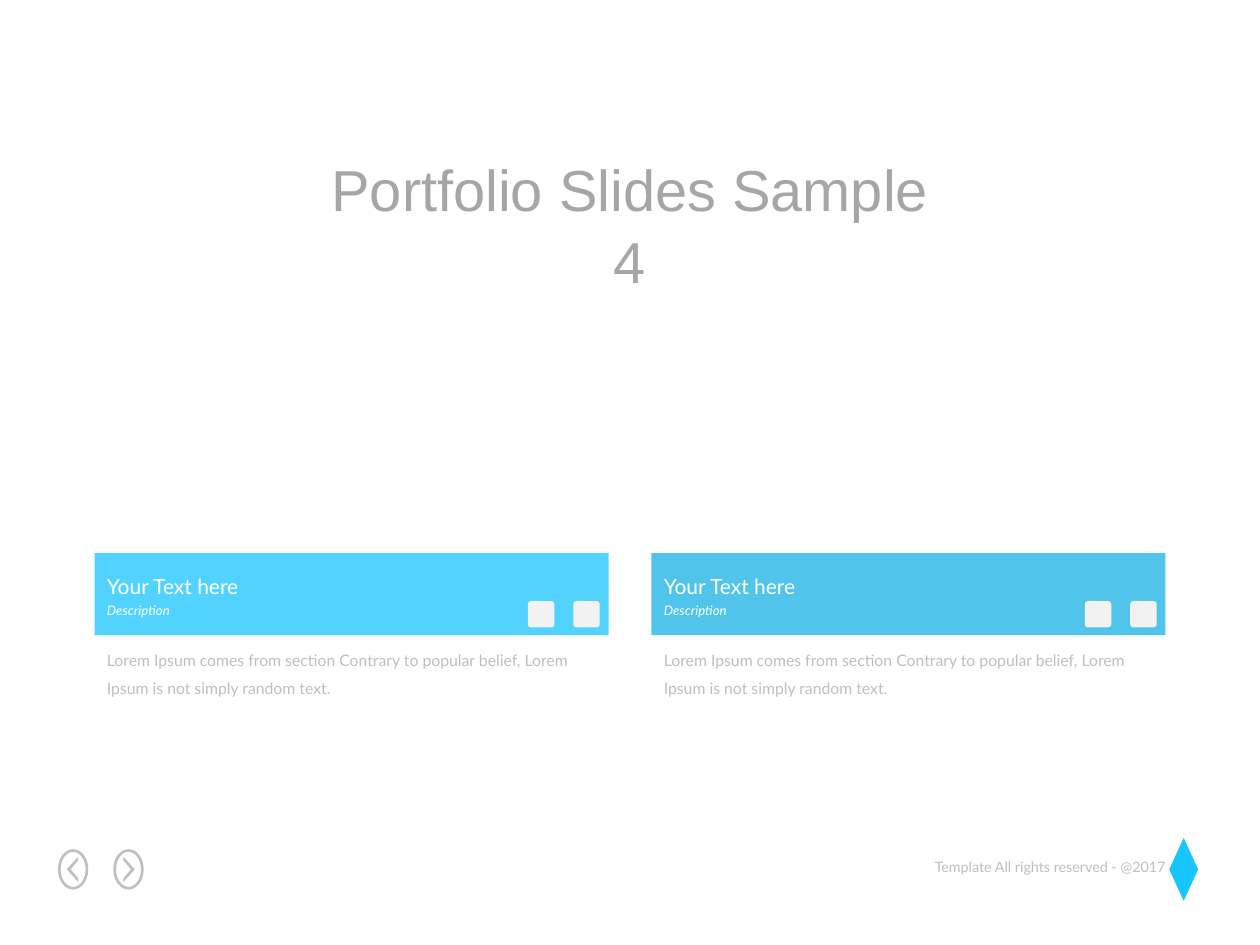
from dataclasses import dataclass

from lxml.etree import SubElement
from pptx import Presentation
from pptx.dml.color import RGBColor
from pptx.enum.shapes import MSO_SHAPE as Shape
from pptx.enum.text import MSO_ANCHOR as Anchor, PP_ALIGN as Align
from pptx.oxml.ns import qn
from pptx.util import Inches, Pt


@dataclass(frozen=True)
class Theme:
    title_color: str = "A6A6A6"
    muted: str = "BFBFBF"
    white: str = "FFFFFF"
    icon: str = "F2F2F2"
    accent: str = "19C5FF"
    accent_dark: str = "16B1E5"
    title_font: str = "Arial"
    body_font: str = "Lato"
    title_size: float = 33
    heading_size: float = 12
    body_size: float = 9
    footer_size: float = 8.2
    caption_size: float = 7.5


THEME = Theme()
CARD_W, BAR_Y, BAR_H = 4.08, 4.39, 0.65


def place(sp, x, y, w, h):
    sp.left, sp.top, sp.width, sp.height = (Inches(v) for v in (x, y, w, h))


def write(sp, text, size, color, font=THEME.body_font, align=Align.LEFT,
          wrap=False, spacing=None, italic=None):
    tf = sp.text_frame
    tf.word_wrap = wrap
    tf.vertical_anchor = Anchor.TOP
    p = tf.paragraphs[0]
    p.alignment = align
    p.line_spacing = spacing
    r = p.add_run()
    r.text = text
    r.font.name = font
    r.font.size = Pt(size)
    r.font.italic = italic
    r.font.color.rgb = RGBColor.from_string(color)


def add_text(s, x, y, w, h, text, size, color, **style):
    sp = s.shapes.add_textbox(*(Inches(v) for v in (x, y, w, h)))
    write(sp, text, size, color, **style)


def paint(sp, color):
    sp.shadow.inherit = False
    sp.fill.solid()
    sp.fill.fore_color.rgb = RGBColor.from_string(color)
    sp.line.fill.background()


def add_block(s, kind, x, y, w, h, color, alpha=None):
    """Add a borderless preset shape; alpha is its opacity in percent."""
    sp = s.shapes.add_shape(kind, *(Inches(v) for v in (x, y, w, h)))
    paint(sp, color)
    if alpha is not None:
        rgb = sp.fill._xPr.find(f".//{qn('a:srgbClr')}")
        SubElement(rgb, qn("a:alpha"), val=str(alpha * 1000))
    return sp


def add_nav_button(s, center_x, direction):
    """Add a ringed chevron; direction is -1 for left and 1 for right."""
    center_y = 6.9
    ring = s.shapes.add_shape(Shape.OVAL, Inches(center_x - 0.11),
                              Inches(center_y - 0.15), Inches(0.22), Inches(0.3))
    ring.shadow.inherit = False
    ring.fill.background()
    ring.line.color.rgb = RGBColor.from_string(THEME.muted)
    ring.line.width = Pt(1.5)

    offsets = [(-0.04, -0.07), (0.02, 0), (-0.04, 0.07),
               (-0.04, 0.1), (0.05, 0), (-0.04, -0.1)]
    points = [(Inches(center_x + direction * dx), Inches(center_y + dy))
              for dx, dy in offsets]
    fb = s.shapes.build_freeform(*points[0])
    fb.add_line_segments(points[1:], close=True)
    paint(fb.convert_to_shape(), THEME.muted)


def add_card(s, x, color):
    add_block(s, Shape.RECTANGLE, x, BAR_Y, CARD_W, BAR_H, color, alpha=75)
    add_text(s, x, BAR_Y + BAR_H, CARD_W, 0.56,
             "Lorem Ipsum comes from section Contrary to popular belief, "
             "Lorem Ipsum is not simply random text.",
             THEME.body_size, THEME.muted, wrap=True, spacing=1.5)
    add_text(s, x, 4.5, 1.31, 0.3, "Your Text here",
             THEME.heading_size, THEME.white)
    add_text(s, x, 4.73, 0.71, 0.23, "Description",
             THEME.caption_size, THEME.white, italic=True)
    for icon_x in (3.44, 3.8):
        icon = add_block(s, Shape.ROUNDED_RECTANGLE, x + icon_x, 4.77,
                         0.21, 0.21, THEME.icon)
        icon.adjustments[0] = 0.12


def add_title(s, text):
    title = s.shapes.title
    place(title, 2.41, 1.14, 5.18, 1.2)
    write(title, text, THEME.title_size, THEME.title_color,
          font=THEME.title_font, align=Align.CENTER, wrap=True, spacing=1.05)


def add_footer(s):
    add_text(s, 7.25, 6.76, 2.1, 0.24, "Template All rights reserved - @2017",
             THEME.footer_size, THEME.muted, align=Align.RIGHT)
    add_nav_button(s, 0.58, -1)
    add_nav_button(s, 1.02, 1)
    add_block(s, Shape.DIAMOND, 9.28, 6.65, 0.23, 0.5, THEME.accent)


def main():
    prs = Presentation()
    prs.slide_width, prs.slide_height = Inches(10), Inches(7.5)
    s = prs.slides.add_slide(prs.slide_layouts[5])
    add_footer(s)
    add_title(s, "Portfolio Slides Sample 4")
    for x, color in ((0.75, THEME.accent), (5.17, THEME.accent_dark)):
        add_card(s, x, color)
    prs.save("out.pptx")


if __name__ == "__main__":
    main()
